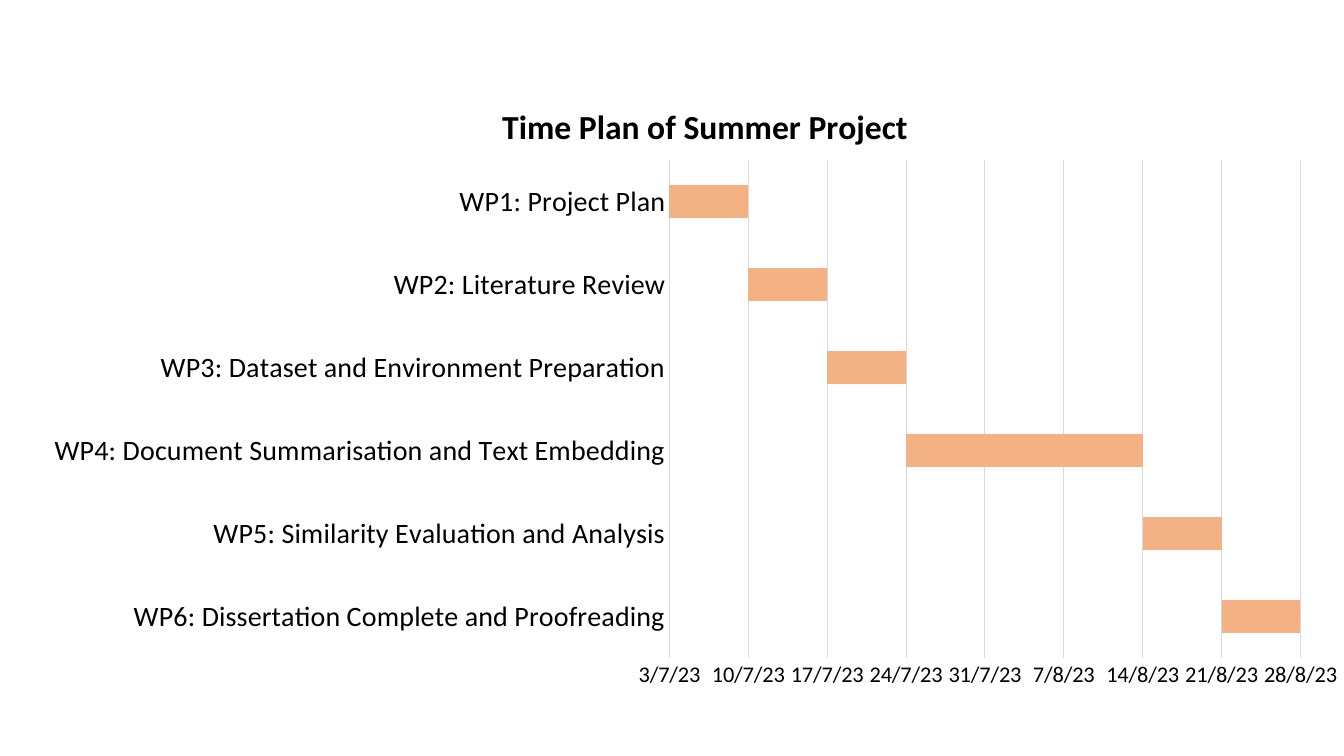
import pptx
import pptx.chart.data
import pptx.dml.color
import pptx.enum.chart
import pptx.oxml
import pptx.oxml.ns
import pptx.util

BLACK = pptx.dml.color.RGBColor(0x00, 0x00, 0x00)
GRID_GREY = pptx.dml.color.RGBColor(0xD9, 0xD9, 0xD9)
BAR_ORANGE = pptx.dml.color.RGBColor(0xF4, 0xB1, 0x83)
FONT_NAME = "Calibri"
FIRST_DAY, LAST_DAY, WEEK = 45110, 45168, 7
WORK_PACKAGES = [
    ("WP1: Project Plan", 1),
    ("WP2: Literature Review", 1),
    ("WP3: Dataset and Environment Preparation", 1),
    ("WP4: Document Summarisation and Text Embedding", 3),
    ("WP5: Similarity Evaluation and Analysis", 1),
    ("WP6: Dissertation Complete and Proofreading", 1),
]


def style_font(font, size, bold=False):
    """Apply the common typeface and colour to a font."""
    font.name = FONT_NAME
    font.size = pptx.util.Pt(size)
    font.bold = bold
    font.color.rgb = BLACK


def style_line(line, width):
    """Draw a thin grey line."""
    line.color.rgb = GRID_GREY
    line.width = pptx.util.Pt(width)


def manual_layout(target, **settings):
    """Return a chart layout holding the given settings in order."""
    items = "".join(f'<c:{name} val="{value}"/>' for name, value in settings.items())
    return pptx.oxml.parse_xml(
        f'<c:layout {pptx.oxml.ns.nsdecls("c")}><c:manualLayout>'
        f"{target}{items}</c:manualLayout></c:layout>"
    )


def replace_layout(parent, index, layout):
    """Put the layout at an index of its parent in place of any other."""
    for old in parent.findall(pptx.oxml.ns.qn("c:layout")):
        parent.remove(old)
    parent.insert(index, layout)


def schedule_data():
    """Stack each work package after the one before it, last one first."""
    rows, start = [], FIRST_DAY
    for name, weeks in WORK_PACKAGES:
        rows.append((name, start, weeks * WEEK))
        start += weeks * WEEK
    names, starts, lengths = zip(*reversed(rows))
    data = pptx.chart.data.CategoryChartData()
    data.categories = names
    data.add_series("Series 1", starts)
    data.add_series("Series 2", lengths)
    return data


def add_title(chart, text):
    """Write the chart title."""
    chart.has_title = True
    title = chart.chart_title
    title.include_in_layout = False
    title.text_frame.text = text
    style_font(title.text_frame.paragraphs[0].runs[0].font, 24, True)
    layout = manual_layout("", xMode="edge", yMode="edge", x=0.35, y=0.03)
    replace_layout(title._element, 1, layout)


def style_axes(chart):
    """Set weekly date marks and the work package labels."""
    for axis, size in ((chart.category_axis, 20), (chart.value_axis, 16)):
        axis.major_tick_mark = pptx.enum.chart.XL_TICK_MARK.NONE
        axis.minor_tick_mark = pptx.enum.chart.XL_TICK_MARK.NONE
        style_font(axis.tick_labels.font, size)
    style_line(chart.category_axis.format.line, 1)
    dates = chart.value_axis
    dates.minimum_scale, dates.maximum_scale = FIRST_DAY, LAST_DAY
    dates.major_unit = WEEK
    dates.format.line.fill.background()
    style_line(dates.major_gridlines.format.line, 0.75)
    dates.tick_labels.number_format = "d/m/yy;@"
    dates.tick_labels.number_format_is_linked = False


def add_gantt(page, box):
    """Place the time plan in the box as a stacked bar chart."""
    chart = page.shapes.add_chart(
        pptx.enum.chart.XL_CHART_TYPE.BAR_STACKED, *box, schedule_data()
    ).chart
    chart.has_legend = False
    style_font(chart.font, 10)
    add_title(chart, "Time Plan of Summer Project")
    style_axes(chart)
    plot = chart.plots[0]
    plot.gap_width, plot.overlap = 150, 100
    offsets, bars = plot.series
    offsets.format.fill.background()
    offsets.format.line.fill.background()
    bars.format.fill.solid()
    bars.format.fill.fore_color.rgb = BAR_ORANGE
    layout = manual_layout(
        '<c:layoutTarget val="inner"/>',
        xMode="edge", yMode="edge", x=0.48, y=0.13, w=0.49, h=0.8,
    )
    replace_layout(chart._chartSpace.chart.plotArea, 0, layout)


def build_deck():
    """Build the deck with its time plan page."""
    deck = pptx.Presentation()
    deck.slide_width = pptx.util.Inches(13.33)
    deck.slide_height = pptx.util.Inches(7.5)
    page = deck.slides.add_slide(deck.slide_layouts[6])
    box = [pptx.util.Inches(length) for length in (0.29, 0.79, 13.23, 6.17)]
    add_gantt(page, box)
    return deck


build_deck().save("out.pptx")
